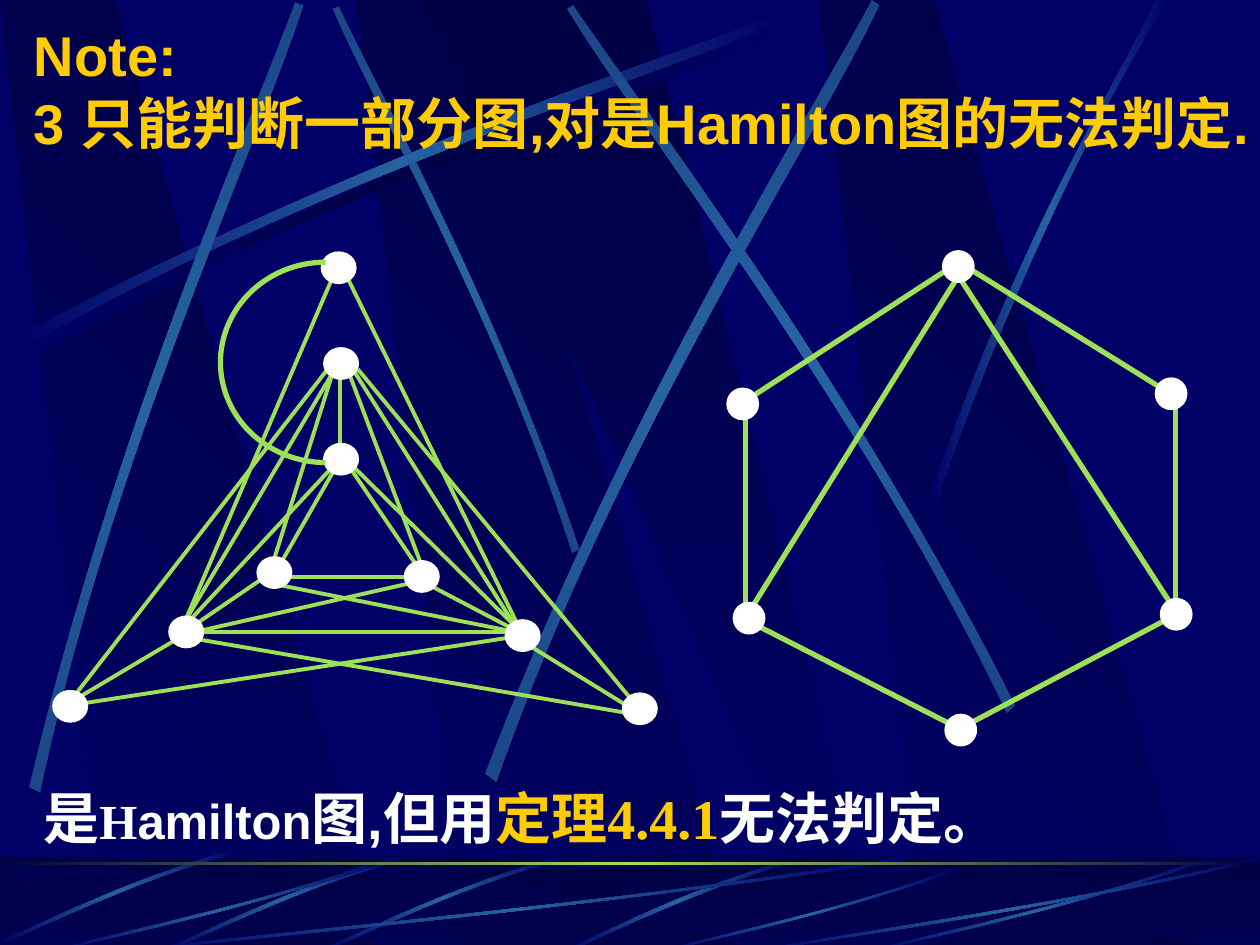
"""Build a slide with two Hamilton graphs over a patterned dark master."""
from dataclasses import dataclass

from pptx import Presentation
from pptx.dml.color import RGBColor
from pptx.enum.shapes import MSO_CONNECTOR, MSO_SHAPE
from pptx.enum.text import MSO_ANCHOR, MSO_AUTO_SIZE, PP_ALIGN
from pptx.oxml import parse_xml
from pptx.oxml.ns import nsdecls, qn
from pptx.util import Pt

STRAIGHT, RECT = MSO_CONNECTOR.STRAIGHT, MSO_SHAPE.RECTANGLE
OVAL, ARC = MSO_SHAPE.OVAL, MSO_SHAPE.ARC


@dataclass(frozen=True)
class Theme:
    navy: str = "000066"
    dark: str = "000044"
    glow: str = "2663A0"
    dim: str = "1B4688"
    green: str = "9CE157"
    gold: str = "FFCC00"
    white: str = "FFFFFF"
    sans: str = "Arial"
    serif: str = "Times New Roman"
    cjk: str = "Noto Sans CJK SC"
    large: int = 32
    small: int = 28


T = Theme()
WIDTH, HEIGHT = 720, 540
TITLE_BOX = (12.2, -10.8, 707.8, 122.4)
BODY_BOX = (17.6, 444.2, 702, 77.8)
TITLE = "Note:\v3 只能判断一部分图,对是Hamilton图的无法判定."
BODY = [
    ("是", T.large, T.sans, T.white), ("H", T.small, T.serif, T.white),
    ("amilton", T.small, T.sans, T.white), ("图,但用", T.large, T.sans, T.white),
    ("定理", T.large, T.cjk, T.gold), ("4.4.1", T.large, T.serif, T.gold),
    ("无法判定。", T.large, T.sans, T.white),
]

NESTED = {
    "weight": 2.25, "size": (19.8, 18),
    "edges": [
        (162, 329.8, 234, 329.8), (194.4, 213.1, 194.4, 257.8), (110.2, 361.4, 300.2, 361.4),
        (192.2, 266.4, 158.4, 325.4), (199.4, 266.4, 242.6, 329.8), (190.1, 213.1, 154.1, 327.6),
        (190.1, 158.4, 103, 361.4), (197.3, 156.2, 295.9, 357.1), (199.4, 213.1, 242.6, 327.6),
        (201.6, 211, 298.1, 363.6), (190.1, 213.1, 105.8, 355), (204.5, 211, 360.7, 399.6),
        (187.2, 211, 41, 399.6), (297.4, 365.8, 362.9, 406.1), (103, 363.6, 362.9, 408.2),
        (244.8, 334.1, 293, 359.3), (151.2, 329.8, 108, 359.3), (100.1, 365.8, 43.2, 399.6),
        (158.4, 334.1, 295.9, 361.4), (48.2, 401.8, 295.9, 363.6), (201.6, 266.4, 295.9, 359.3),
        (110.2, 361.4, 240.5, 331.9), (108, 355, 194.4, 262.1),
    ],
    "nodes": [(30.2, 394.6), (96.5, 352.1), (146.9, 318.2), (183.6, 144), (185, 198.7),
              (185, 253.4), (231.1, 320.4), (288.7, 354.2), (355.7, 396)],
}
HEXAGON = {
    "weight": 3, "size": (18, 18),
    "edges": [
        (426.2, 228.2, 426.2, 354.2), (543.6, 152.6, 428.4, 227.5), (670.3, 352.1, 553, 414),
        (547.9, 149.8, 668.2, 224.6), (426.2, 354.2, 543.6, 414), (545.8, 154.8, 670.3, 347),
        (550.8, 152.6, 428.4, 349.2), (671.8, 221.8, 671.8, 347.8),
    ],
    "nodes": [(540, 408.2), (663.1, 342), (660.2, 216), (538.6, 143.3), (415.4, 221.8), (419, 344.2)],
}
LOOP_BOX = (126, 149.8, 120.2, 114.5)

FLOOR = 495.4
BAND_XS, BAND_LEFTS = (0, 65.5, 217.4, 61.9), (203.8, 0, 468)
WEDGE_XS = (239.8, 369.4, 499.7, 473.8)
SWEEP = [(10.1, 192.2), (200.2, 90.7), (373, 36.7), (446.4, 7.2),
         (448.6, 11.5), (375.9, 43.9), (178.6, 102.9), (12.3, 199.4)]
BEAMS = [
    [(16.6, 450), (67, 240.5), (141.8, 75.6), (168.5, 1.4),
     (173.5, 2.9), (149, 78.5), (61.9, 265), (23, 452.9)],
    [(277.2, 442.1), (358.6, 230.4), (459.4, 73.4), (498.2, 0),
     (502.6, 2.9), (467.3, 77.8), (349.9, 255.6), (283.7, 447.1)],
    [(580.3, 403.2), (482.4, 211), (371.5, 68.4), (327.6, 2.9),
     (324, 5), (365, 72.7), (493.2, 234), (575.3, 407.5)],
]
LEFT_BEAM = [(331.2, 313.9), (281.5, 168.5), (217.4, 55.4), (193.7, 3.6),
             (190.1, 5), (212.4, 56.9), (286.6, 185.8), (326.9, 316.1)]
RIGHT_BEAM = [(531.4, 283.7), (586.1, 124.6), (639.4, 47.5), (660.2, 0),
              (667.4, 0), (601.9, 104.4), (553.7, 231.8), (535.7, 285.8)]
FLOOR_CURVE = [(451.4, 491), (386.6, 510.5), (343.4, 534.2), (322.6, 542.9),
               (326.2, 543.6), (352.8, 530.6), (411.1, 504), (452.2, 493.2)]
FLOOR_ARC = [(318.2, 489.6), (255.6, 507.6), (206.6, 532.8), (184.3, 542.2),
             (185, 543.6), (207.4, 535), (262.8, 506.2), (319.7, 491.8)]
ARC_SHIFTS = [(0, 0), (-90, 0), (-184.3, -4.3)]
RAY = [(1, 0.04), (0.57, 0.57), (0.17, 0.85), (0.01, 1),
       (0, 0.99), (0.17, 0.81), (0.62, 0.51), (1, 0)]
RAY_BOXES = [(72, 489.6, 444.2, 54), (30.2, 489.6, 192.2, 54), (379.4, 496, 166.3, 47.5),
             (498.2, 489.6, 192.2, 54), (432, 489.6, 288, 54)]


def pts(values):
    return [Pt(v) for v in values]


def rgb(color):
    return RGBColor.from_string(color)


def shade(sp, colors, angle):
    sp.shadow.inherit = False
    sp.line.fill.background()
    sp.fill.background()
    step = 100000 // (len(colors) - 1)
    stops = "".join(f'<a:gs pos="{i * step}"><a:srgbClr val="{c}"/></a:gs>' for i, c in enumerate(colors))
    grad = parse_xml(f'<a:gradFill {nsdecls("a")} rotWithShape="1"><a:gsLst>{stops}</a:gsLst>'
                     f'<a:lin ang="{angle * 60000}" scaled="0"/></a:gradFill>')
    spPr = sp._element.spPr
    spPr.replace(spPr.find(qn("a:noFill")), grad)


def polygon(shapes, points, colors, angle):
    vertices = [tuple(pts(point)) for point in points]
    builder = shapes.build_freeform(*vertices[0])
    builder.add_line_segments(vertices[1:])
    sp = builder.convert_to_shape()
    shade(sp, colors, angle)
    return sp


def streak(shapes, points, shift=(0, 0), colors=(T.navy, T.glow, T.navy), angle=180):
    moved = [(x + shift[0], y + shift[1]) for x, y in points]
    sp = polygon(shapes, moved, colors, angle)
    segments = list(sp._element.iter(qn("a:lnTo")))
    for side in (segments[:3], segments[4:7]):
        curve = parse_xml(f'<a:cubicBezTo {nsdecls("a")}/>')
        side[0].addprevious(curve)
        for segment in side:
            curve.append(segment[0])
            segment.getparent().remove(segment)


def bands(shapes, top, bottom):
    for xs, left, angle in [(BAND_XS, x, 135) for x in BAND_LEFTS] + [(WEDGE_XS, 0, 90)]:
        points = [(left + x, y) for x, y in zip(xs, (top, top, bottom, bottom))]
        polygon(shapes, points, (T.dark, T.navy), angle)


def draw_backdrop(s, master):
    group = s.shapes.add_group_shape()
    shapes = group.shapes
    bands(shapes, 0, HEIGHT)
    streak(shapes, SWEEP, (4.3, 5.8), (T.navy, T.dark, T.navy))
    streak(shapes, LEFT_BEAM, colors=(T.dim, T.glow, T.dim), angle=90)
    streak(shapes, SWEEP)
    for beam in BEAMS:
        streak(shapes, beam, colors=(T.dim, T.glow, T.dim), angle=90)
    streak(shapes, RIGHT_BEAM)
    floor_box = pts((0, 489.6, WIDTH, HEIGHT - 489.6))
    shade(shapes.add_shape(RECT, *floor_box), (T.dark, T.navy), 90)
    bands(shapes, FLOOR, HEIGHT)
    veil = shapes.add_shape(RECT, *floor_box)
    veil.shadow.inherit = False
    veil.line.fill.background()
    veil.fill.solid()
    veil.fill.fore_color.rgb = rgb(T.dark)
    color = veil._element.spPr.find(qn("a:solidFill"))[0]
    color.append(parse_xml(f'<a:alpha {nsdecls("a")} val="50000"/>'))
    streak(shapes, FLOOR_CURVE)
    for shift in ARC_SHIFTS:
        streak(shapes, FLOOR_ARC, shift)
    for x, y, w, h in RAY_BOXES:
        streak(shapes, [(x + u * w, y + v * h) for u, v in RAY])
    rule = shapes.add_shape(RECT, *pts((0, 492.6, WIDTH, 1.8)))
    shade(rule, (T.dark, T.green, T.dark), 180)
    master.shapes._spTree.insert(2, group._element)


def draw_graph(shapes, graph):
    for edge in graph["edges"]:
        line = shapes.add_connector(STRAIGHT, *pts(edge))
        line.line.color.rgb = rgb(T.green)
        line.line.width = Pt(graph["weight"])
        line._element.spPr.append(parse_xml(f'<a:effectLst {nsdecls("a")}/>'))
    for corner in graph["nodes"]:
        node = shapes.add_shape(OVAL, *pts(corner + graph["size"]))
        node.shadow.inherit = False
        node.fill.solid()
        node.fill.fore_color.rgb = node.line.color.rgb = rgb(T.white)
        node.line.width = Pt(0.75)


def draw_loop(shapes):
    loop = shapes.add_shape(ARC, *pts(LOOP_BOX))
    loop.adjustments[0], loop.adjustments[1] = 54, 162
    loop.shadow.inherit = False
    loop.fill.background()
    loop.line.color.rgb = rgb(T.green)
    loop.line.width = Pt(3)


def style(r, size, face, color):
    r.font.size, r.font.name, r.font.bold = Pt(size), face, True
    r.font.color.rgb = rgb(color)
    latin = r.font._element.find(qn("a:latin"))
    latin.addnext(parse_xml(f'<a:ea {nsdecls("a")} typeface="{face}"/>'))


def place(sp, box, anchor):
    sp.left, sp.top, sp.width, sp.height = pts(box)
    tf = sp.text_frame
    tf.word_wrap, tf.auto_size, tf.vertical_anchor = True, MSO_AUTO_SIZE.NONE, anchor
    return tf


def write_text(s):
    tf = place(s.shapes.title, TITLE_BOX, MSO_ANCHOR.MIDDLE)
    tf.text = TITLE
    tf.paragraphs[0].alignment = PP_ALIGN.LEFT
    for r in tf.paragraphs[0].runs:
        style(r, T.large, T.sans, T.gold)
    p = place(s.placeholders[1], BODY_BOX, MSO_ANCHOR.TOP).paragraphs[0]
    p.space_before = Pt(0)
    pPr = p._p.get_or_add_pPr()
    pPr.set("marL", str(Pt(27)))
    pPr.set("indent", str(-Pt(27)))
    pPr.append(parse_xml(f'<a:buNone {nsdecls("a")}/>'))
    for text, size, face, color in BODY:
        r = p.add_run()
        r.text = text
        style(r, size, face, color)


def main():
    prs = Presentation()
    prs.slide_width, prs.slide_height = Pt(WIDTH), Pt(HEIGHT)
    s = prs.slides.add_slide(prs.slide_layouts[1])
    s.background.fill.solid()
    s.background.fill.fore_color.rgb = rgb(T.navy)
    draw_backdrop(s, prs.slide_master)
    write_text(s)
    nested = s.shapes.add_group_shape().shapes
    draw_graph(nested, NESTED)
    draw_loop(nested)
    draw_graph(s.shapes.add_group_shape().shapes, HEXAGON)
    prs.save("out.pptx")


if __name__ == "__main__":
    main()
